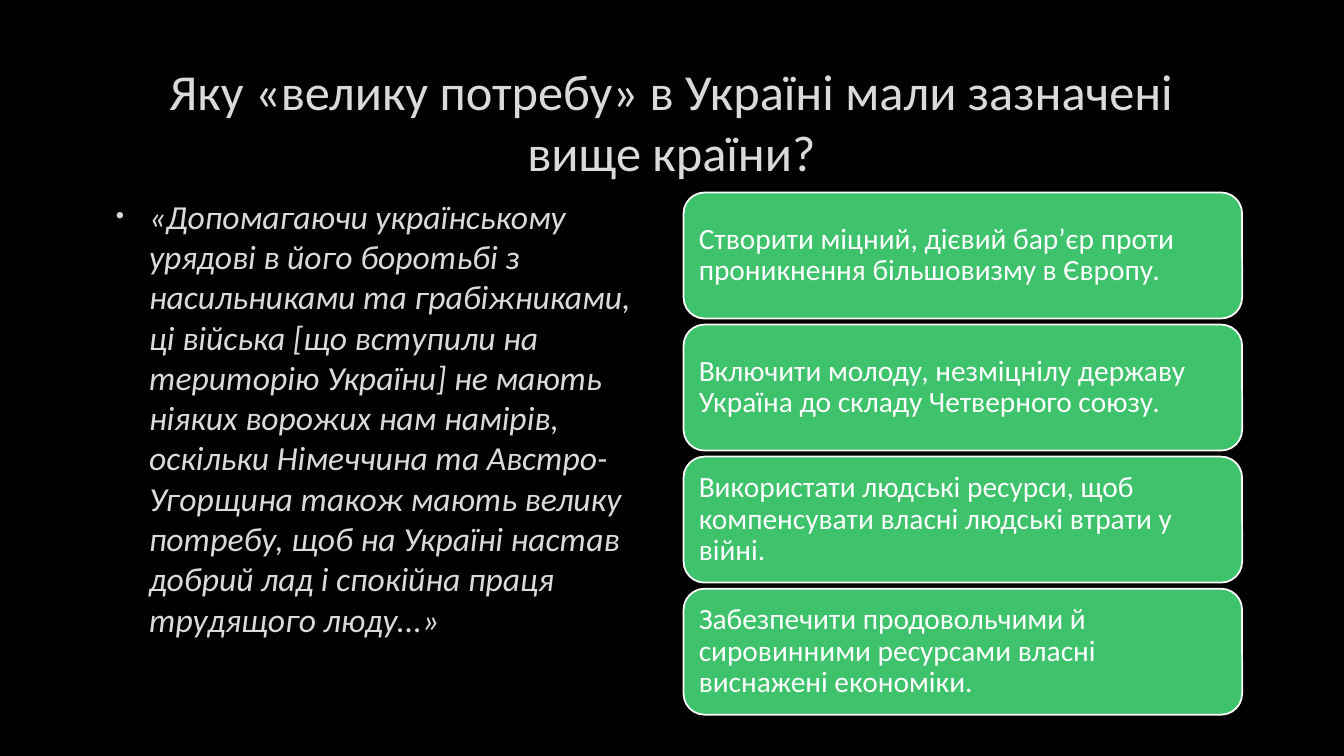
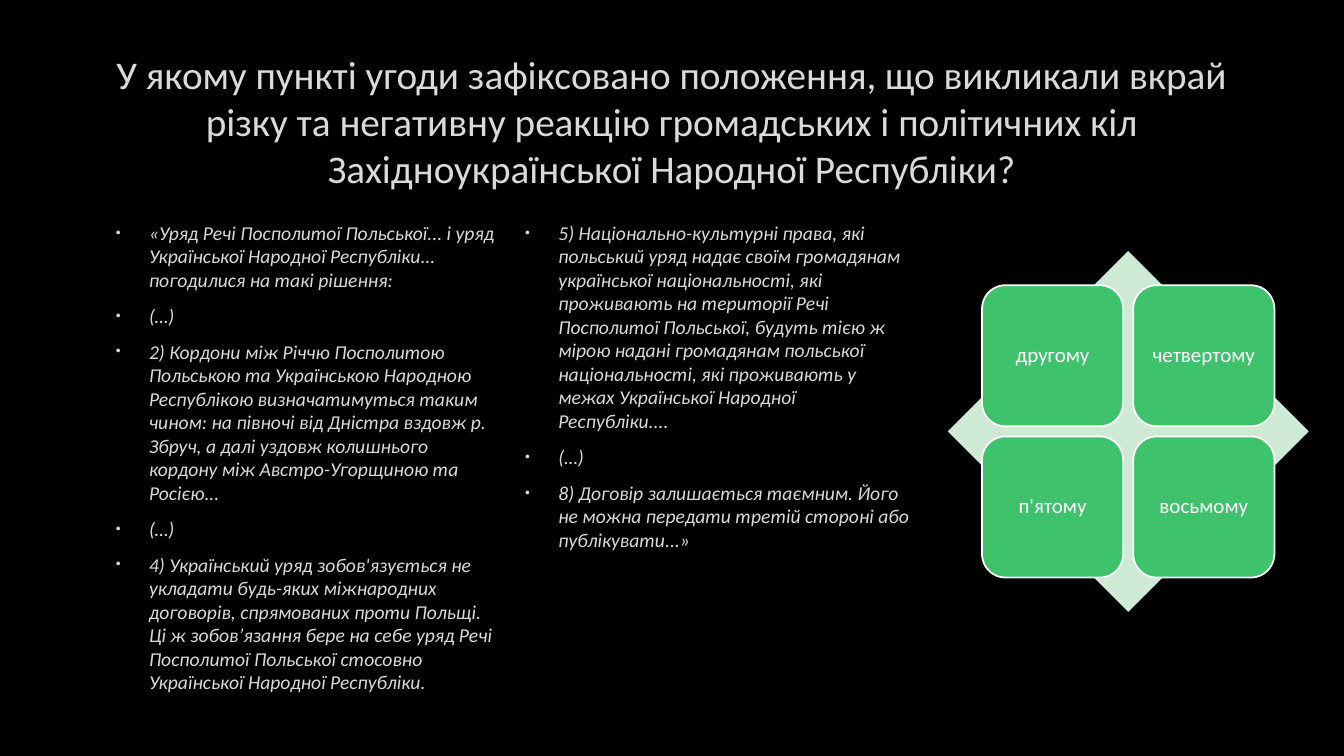
import pptx
import pptx.util
import pptx.dml.color
import pptx.enum.shapes
import pptx.enum.text
import pptx.oxml
import pptx.oxml.ns

Inches = pptx.util.Inches
Pt = pptx.util.Pt
Color = pptx.dml.color.RGBColor
Kind = pptx.enum.shapes.MSO_SHAPE
Align = pptx.enum.text.PP_ALIGN
Anchor = pptx.enum.text.MSO_ANCHOR

BLACK = Color(0x00, 0x00, 0x00)
GREY = Color(0xDA, 0xDA, 0xDA)
WHITE = Color(0xFF, 0xFF, 0xFF)
GREEN = Color(0x3E, 0xC2, 0x6C)
PALE = Color(0xCE, 0xE9, 0xD4)
FONT = "Calibri"


def add_bullet(para):
    props = para._p.get_or_add_pPr()
    props.set("marL", str(Inches(0.38)))
    props.set("indent", str(Inches(-0.33)))
    space = pptx.oxml.ns.nsdecls("a")
    for part in (
        f'<a:buClr {space}><a:srgbClr val="{GREY}"/></a:buClr>',
        f'<a:buSzPct {space} val="70000"/>',
        f'<a:buFont {space} typeface="Arial"/>',
        f'<a:buChar {space} char="•"/>',
    ):
        props.append(pptx.oxml.parse_xml(part))


def write(frame, *texts, size, color=GREY, italic=False, align=Align.LEFT,
          anchor=Anchor.TOP, bullet=False, before=0, after=0, line=1.0,
          inset=None):
    frame.word_wrap = True
    frame.vertical_anchor = anchor
    if inset is not None:
        frame.margin_left = frame.margin_right = Inches(inset)
        frame.margin_top = frame.margin_bottom = Inches(inset)
    for index, text in enumerate(texts):
        para = frame.add_paragraph() if index else frame.paragraphs[0]
        if bullet:
            add_bullet(para)
        para.alignment = align
        para.line_spacing = line
        para.space_before = Pt(before if index else 0)
        para.space_after = Pt(after)
        run = para.add_run()
        run.text = text
        run.font.name = FONT
        run.font.size = Pt(size)
        run.font.italic = italic
        run.font.color.rgb = color


class Deck:
    def __init__(self):
        self.show = pptx.Presentation()
        self.show.slide_width = Inches(13.33)
        self.show.slide_height = Inches(7.5)
        self.slide = None

    def start(self, title, size):
        self.slide = self.show.slides.add_slide(self.show.slide_layouts[6])
        fill = self.slide.background.fill
        fill.solid()
        fill.fore_color.rgb = BLACK
        write(self.frame(1, 0.67, 11.32, 1.06), title, size=size,
              align=Align.CENTER, anchor=Anchor.MIDDLE)

    def frame(self, left, top, width, height):
        box = self.slide.shapes.add_textbox(
            Inches(left), Inches(top), Inches(width), Inches(height))
        return box.text_frame

    def body(self, left, top, width, texts, size):
        write(self.frame(left, top, width, 4.44), *texts, size=size,
              italic=True, bullet=True, before=size * 0.2, after=6)

    def shape(self, kind, left, top, width, height, fill, line=None):
        shape = self.slide.shapes.add_shape(
            kind, Inches(left), Inches(top), Inches(width), Inches(height))
        shape.shadow.inherit = False
        shape.fill.solid()
        shape.fill.fore_color.rgb = fill
        if line is None:
            shape.line.fill.background()
        else:
            shape.line.color.rgb = line
            shape.line.width = Pt(1.25)
        return shape

    def card(self, left, top, width, height, text, size, inset,
             align=Align.LEFT):
        card = self.shape(Kind.ROUNDED_RECTANGLE, left, top, width, height,
                          GREEN, WHITE)
        write(card.text_frame, text, size=size, color=WHITE, align=align,
              anchor=Anchor.MIDDLE, line=0.9, inset=inset)


def make_needs(deck):
    deck.start("Яку «велику потребу» в Україні мали зазначені вище країни?", 36)
    deck.body(1, 1.89, 5.53, [
        "«Допомагаючи українському урядові в його боротьбі з насильниками та "
        "грабіжниками, ці війська [що вступили на територію України] не мають "
        "ніяких ворожих нам намірів, оскільки Німеччина та Австро-Угорщина "
        "також мають велику потребу, щоб на Україні настав добрий лад і "
        "спокійна праця трудящого люду...»",
    ], 24)
    needs = [
        "Створити міцний, дієвий бар’єр проти проникнення більшовизму в Європу.",
        "Включити молоду, незміцнілу державу Україна до складу Четверного союзу.",
        "Використати людські ресурси, щоб компенсувати власні людські втрати у війні.",
        "Забезпечити продовольчими й сировинними ресурсами власні виснажені економіки.",
    ]
    for row, need in enumerate(needs):
        deck.card(6.78, 1.91 + row * 1.31, 5.54, 1.25, need, 21, 0.09)


def make_treaty(deck):
    deck.start(
        "У якому пункті угоди зафіксовано положення, що викликали вкрай різку "
        "та негативну реакцію громадських і політичних кіл "
        "Західноукраїнської Народної Республіки?", 28)
    deck.body(1, 2.14, 4.07, [
        "«Уряд Речі Посполитої Польської... і уряд Української Народної "
        "Республіки... погодилися на такі рішення:",
        "(…)",
        "2) Кордони між Річчю Посполитою Польською та Українською Народною "
        "Республікою визначатимуться таким чином: на півночі від Дністра "
        "вздовж р. Збруч, а далі уздовж колишнього кордону між "
        "Австро-Угорщиною та Росією...",
        "(…)",
        "4) Український уряд зобов'язується не укладати будь-яких міжнародних "
        "договорів, спрямованих проти Польщі. Ці ж зобов’язання бере на себе "
        "уряд Речі Посполитої Польської стосовно Української Народної "
        "Республіки.",
    ], 14)
    deck.body(5.06, 2.14, 4.07, [
        "5) Національно-культурні права, які польський уряд надає своїм "
        "громадянам української національності, які проживають на території "
        "Речі Посполитої Польської, будуть тією ж мірою надані громадянам "
        "польської національності, які проживають у межах Української "
        "Народної Республіки....",
        "(…)",
        "8) Договір залишається таємним. Його не можна передати третій "
        "стороні або публікувати...»",
    ], 14)
    deck.shape(Kind.DIAMOND, 9.4, 2.49, 3.58, 3.58, PALE)
    points = ["другому", "четвертому", "п'ятому", "восьмому"]
    for index, point in enumerate(points):
        row, col = divmod(index, 2)
        deck.card(9.74 + col * 1.5, 2.83 + row * 1.5, 1.4, 1.4, point, 15,
                  0.06, Align.CENTER)


def main():
    deck = Deck()
    make_needs(deck)
    make_treaty(deck)
    deck.show.save("out.pptx")


if __name__ == "__main__":
    main()
